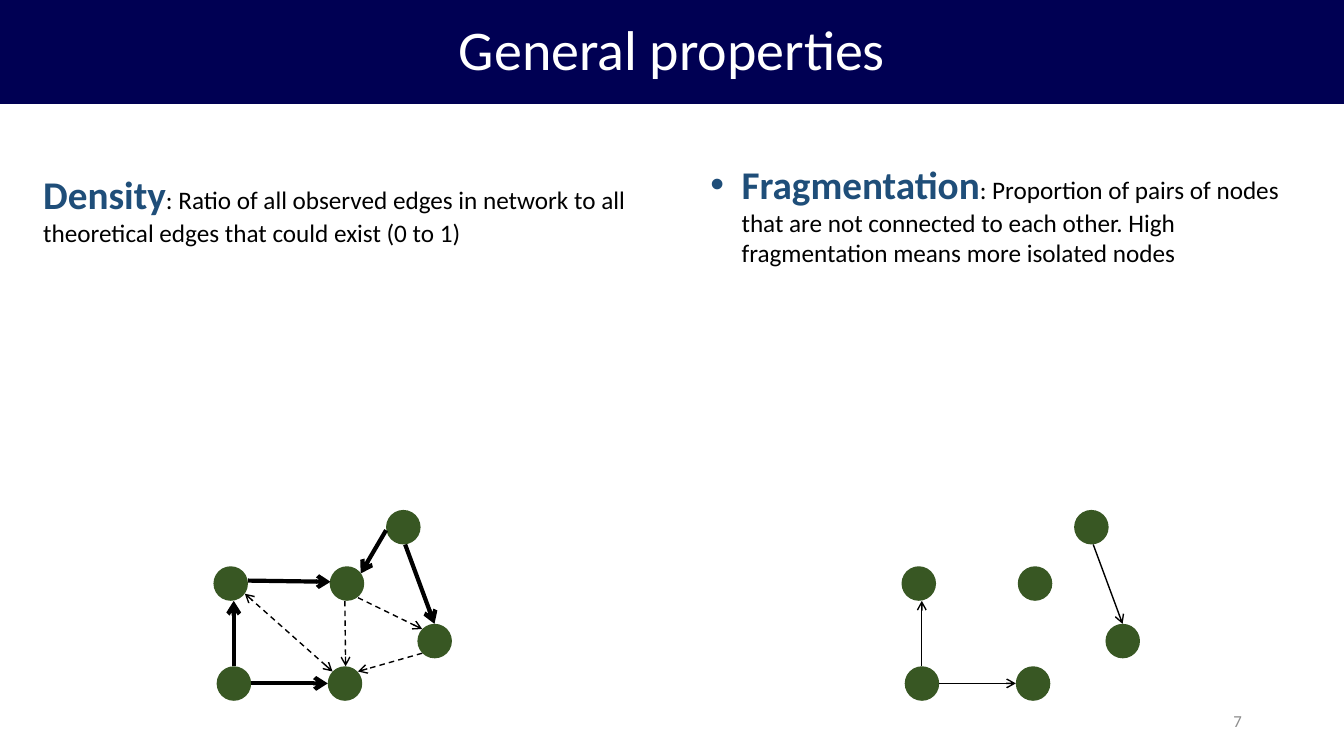
"""Builds the slide on density and fragmentation as general network properties."""
from dataclasses import dataclass

from lxml import etree
from pptx import Presentation
from pptx.dml.color import RGBColor
from pptx.enum.dml import MSO_LINE
from pptx.enum.shapes import MSO_CONNECTOR, MSO_SHAPE
from pptx.enum.text import MSO_ANCHOR, PP_ALIGN
from pptx.oxml.ns import qn
from pptx.util import Cm, Pt


@dataclass(frozen=True)
class Theme:
    font: str = "Calibri"
    banner: RGBColor = RGBColor(0x00, 0x00, 0x53)
    white: RGBColor = RGBColor(0xFF, 0xFF, 0xFF)
    black: RGBColor = RGBColor(0x00, 0x00, 0x00)
    term: RGBColor = RGBColor(0x1F, 0x4E, 0x79)
    node: RGBColor = RGBColor(0x38, 0x57, 0x23)
    number: RGBColor = RGBColor(0x8C, 0x8C, 0x8C)
    title_size: Pt = Pt(40)
    term_size: Pt = Pt(28)
    body_size: Pt = Pt(18)
    number_size: Pt = Pt(12)


theme = Theme()


def add_run(paragraph, text, size, color, bold=False):
    run = paragraph.add_run()
    run.text = text
    run.font.name = theme.font
    run.font.size = size
    run.font.bold = bold
    run.font.color.rgb = color


def add_edge(start, end, shift, width, dashed=False, both_ways=False):
    edge = slide.shapes.add_connector(
        MSO_CONNECTOR.STRAIGHT,
        Cm(start[0] + shift), Cm(start[1]), Cm(end[0] + shift), Cm(end[1]),
    )
    edge.line.color.rgb = theme.black
    edge.line.width = Pt(width)
    if dashed:
        edge.line.dash_style = MSO_LINE.DASH
    outline = edge.line._get_or_add_ln()
    for tag in ("a:headEnd", "a:tailEnd") if both_ways else ("a:tailEnd",):
        etree.SubElement(outline, qn(tag), type="arrow")
    etree.SubElement(edge._element.spPr, qn("a:effectLst"))


prs = Presentation()
prs.slide_width, prs.slide_height = Cm(33.87), Cm(19.05)
slide = prs.slides.add_slide(prs.slide_layouts[5])

title = slide.shapes.title
title.left, title.top, title.width, title.height = Cm(0), Cm(0), prs.slide_width, Cm(2.62)
title.fill.solid()
title.fill.fore_color.rgb = theme.banner
title.text_frame.vertical_anchor = MSO_ANCHOR.MIDDLE
heading = title.text_frame.paragraphs[0]
heading.alignment = PP_ALIGN.CENTER
heading.line_spacing = 0.9
add_run(heading, "General properties", theme.title_size, theme.white)

page = slide.shapes.add_textbox(Cm(23.93), Cm(17.65), Cm(7.62), Cm(1.02)).text_frame
page.word_wrap = True
page.vertical_anchor = MSO_ANCHOR.MIDDLE
page.paragraphs[0].alignment = PP_ALIGN.RIGHT
add_run(page.paragraphs[0], "7", theme.number_size, theme.number)

definitions = [
    ("Density", ": Ratio of all observed edges in network to all theoretical edges "
     "that could exist (0 to 1)", 0.84, 4.17, 2.24, False),
    ("Fragmentation", ": Proportion of pairs of nodes that are not connected to each other. "
     "High fragmentation means more isolated nodes", 17.65, 3.91, 3, True),
]
for term, meaning, left, top, height, bulleted in definitions:
    definition = slide.shapes.add_textbox(Cm(left), Cm(top), Cm(15.37), Cm(height)).text_frame
    definition.word_wrap = True
    paragraph = definition.paragraphs[0]
    if bulleted:
        properties = paragraph._p.get_or_add_pPr()
        properties.set("marL", str(Cm(0.79)))
        properties.set("indent", str(-Cm(0.79)))
        etree.SubElement(properties, qn("a:buFont"), typeface="Arial")
        etree.SubElement(properties, qn("a:buChar"), char="•")
    add_run(paragraph, term, theme.term_size, theme.term, bold=True)
    add_run(paragraph, meaning, theme.body_size, theme.black)

node_size = Cm(0.87)
nodes = [(8.26, 16.79), (8.31, 14.27), (5.38, 14.27), (5.46, 16.79), (10.52, 15.72), (9.73, 12.85)]
shared_edges = [
    ((5.89, 16.79), (5.89, 15.14)),
    ((6.32, 17.22), (8.26, 17.22)),
    ((10.21, 13.72), (10.95, 15.72)),
]
dense_edges = [
    ((6.25, 14.63), (8.33, 14.66)),
    ((9.73, 13.36), (9.09, 14.45)),
]
possible_edges = [
    ((8.69, 15.14), (8.71, 16.79), False),
    ((9.02, 15.06), (10.64, 15.85), False),
    ((8.38, 16.92), (6.17, 14.96), True),
    ((10.64, 16.46), (9.02, 16.92), False),
]
networks = [
    (0, 3, shared_edges + dense_edges, possible_edges),
    (17.34, 1, shared_edges, []),
]
for shift, width, observed, possible in networks:
    for left, top in nodes:
        node = slide.shapes.add_shape(
            MSO_SHAPE.OVAL, Cm(left + shift), Cm(top), node_size, node_size)
        node.shadow.inherit = False
        node.fill.solid()
        node.fill.fore_color.rgb = theme.node
        node.line.fill.background()
    for start, end in observed:
        add_edge(start, end, shift, width)
    for start, end, both_ways in possible:
        add_edge(start, end, shift, 1, dashed=True, both_ways=both_ways)

prs.save("out.pptx")
